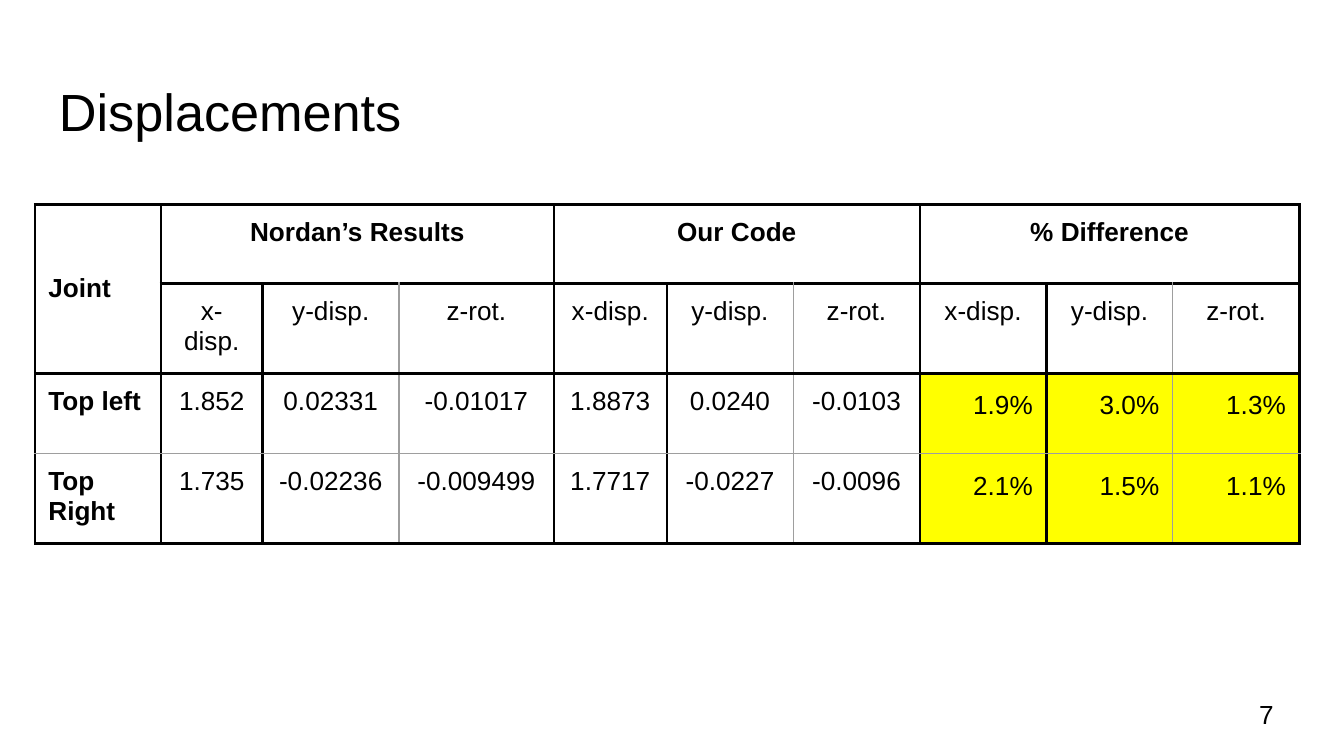
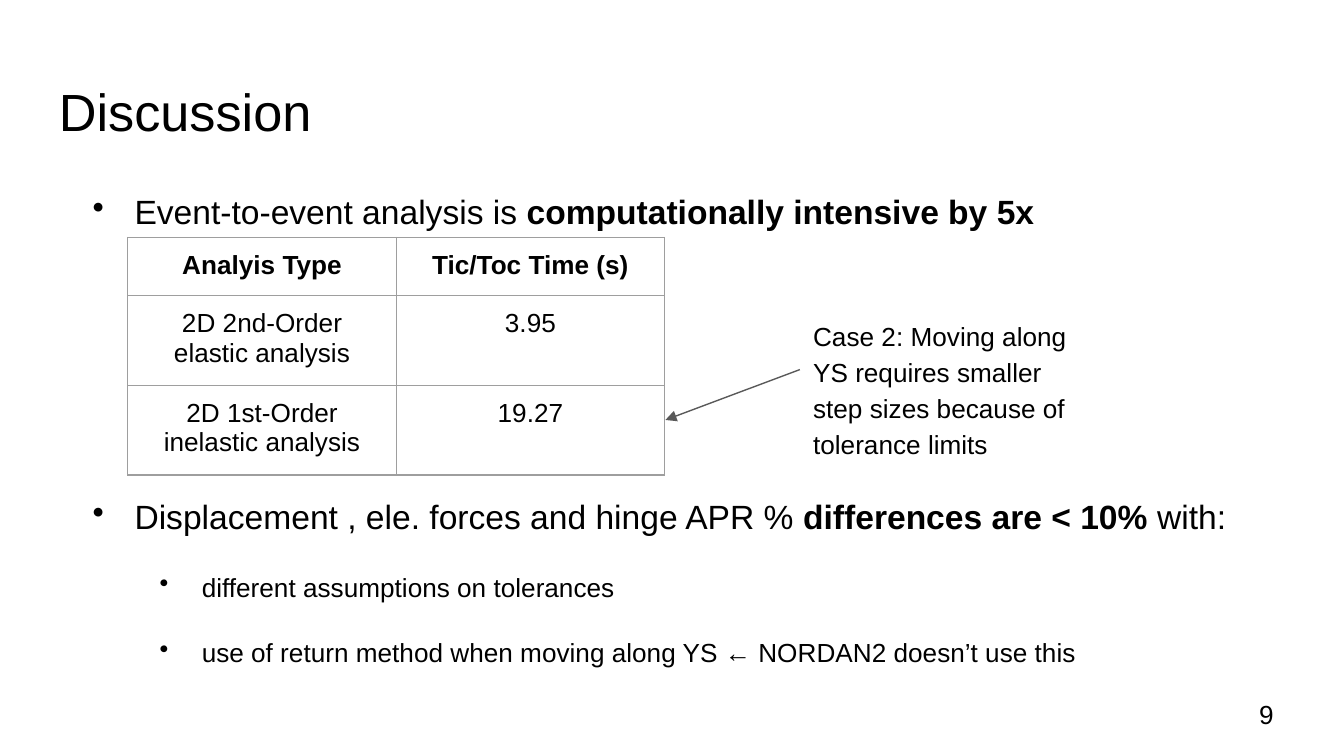
from lxml.etree import SubElement
from pptx import Presentation
from pptx.dml.color import RGBColor
from pptx.enum.shapes import MSO_CONNECTOR
from pptx.enum.text import MSO_ANCHOR, PP_ALIGN
from pptx.oxml import parse_xml
from pptx.oxml.ns import nsdecls, qn
from pptx.util import Pt

BLACK = RGBColor(0x00, 0x00, 0x00)
WHITE = RGBColor(0xFF, 0xFF, 0xFF)
GRID = RGBColor(0x9E, 0x9E, 0x9E)
ARROW = RGBColor(0x59, 0x59, 0x59)
YELLOW = RGBColor(0xFF, 0xFF, 0x00)
FONT = "Arial"
INSET = Pt(7.2)
SPACING = 1.15
WIDTH, HEIGHT = 720, 405
TITLE_BOX = (24.5, 35, 671, 45)
BODY_BOX = (24.5, 92, 671, 297.5)
NUMBER_BOX = (667.5, 367, 43, 31)
HEAVY, LIGHT = (BLACK, 1.5), (GRID, 0.75)


def set_font(p, size, bold=False):
    p.font.name = FONT
    p.font.size = Pt(size)
    p.font.bold = bold
    p.font.color.rgb = BLACK


def add_text(s, box, text, size, anchor=MSO_ANCHOR.TOP):
    tf = s.shapes.add_textbox(*map(Pt, box)).text_frame
    tf.word_wrap = True
    tf.vertical_anchor = anchor
    tf.margin_left = tf.margin_right = tf.margin_top = tf.margin_bottom = INSET
    p = tf.paragraphs[0]
    p.text = text
    set_font(p, size)
    return tf


def add_base_slide(prs, title, number):
    s = prs.slides.add_slide(prs.slide_layouts[6])
    s.background.fill.solid()
    s.background.fill.fore_color.rgb = WHITE
    add_text(s, TITLE_BOX, title, 28)
    add_text(s, NUMBER_BOX, number, 14, MSO_ANCHOR.MIDDLE)
    return s


def set_borders(cell, left, right, top, bottom):
    """Draw the four sides, each given as (colour, width)."""
    tc_pr = cell._tc.get_or_add_tcPr()
    for i, (side, (color, width)) in enumerate(zip("LRTB", (left, right, top, bottom))):
        tc_pr.insert(i, parse_xml(
            f'<a:ln{side} {nsdecls("a")} w="{Pt(width)}"><a:solidFill>'
            f'<a:srgbClr val="{color}"/></a:solidFill></a:ln{side}>'))


def add_grid(s, x, y, widths, heights, rows):
    table = s.shapes.add_table(len(heights), len(widths), Pt(x), Pt(y),
                               Pt(sum(widths)), Pt(sum(heights))).table
    table.first_row = table.horz_banding = False
    for column, width in zip(table.columns, widths):
        column.width = Pt(width)
    for row, height, texts in zip(table.rows, heights, rows):
        row.height = Pt(height)
        for cell, text in zip(row.cells, texts):
            cell.margin_left = cell.margin_right = INSET
            cell.margin_top = cell.margin_bottom = INSET
            cell.fill.background()
            p = cell.text_frame.paragraphs[0]
            p.text = text
            p.alignment = PP_ALIGN.CENTER
            set_font(p, 14)
    return table


def add_displacement_table(s, x, y):
    groups = ["Nordan’s Results", "Our Code", "% Difference"]
    rows = [
        ["Joint"] + [text for group in groups for text in (group, "", "")],
        [""] + ["x-disp.", "y-disp.", "z-rot."] * 3,
        ["Top left", "1.852", "0.02331", "-0.01017", "1.8873", "0.0240", "-0.0103",
         "1.9%", "3.0%", "1.3%"],
        ["Top Right", "1.735", "-0.02236", "-0.009499", "1.7717", "-0.0227", "-0.0096",
         "2.1%", "1.5%", "1.1%"],
    ]
    widths = [67.5, 54.5, 73, 83, 60.5] + [67.8] * 5
    table = add_grid(s, x, y, widths, [42.5, 46, 43, 46], rows)

    def vertical(c):
        return LIGHT if c in (3, 6, 9) else HEAVY

    def horizontal(r, c):
        return LIGHT if r == 3 or (r == 2 and c == 0) else HEAVY

    for r in range(len(rows)):
        for c in range(len(widths)):
            cell = table.cell(r, c)
            p = cell.text_frame.paragraphs[0]
            p.font.bold = r == 0 or c == 0
            if c == 0:
                p.alignment = PP_ALIGN.LEFT
            if r >= 2 and c >= 7:
                p.alignment = PP_ALIGN.RIGHT
                p.line_spacing = SPACING
                cell.fill.solid()
                cell.fill.fore_color.rgb = YELLOW
            set_borders(cell, vertical(c), vertical(c + 1),
                        horizontal(r, c), horizontal(r + 1, c))

    table.cell(0, 0).merge(table.cell(1, 0))
    table.cell(0, 0).vertical_anchor = MSO_ANCHOR.MIDDLE
    for c in (1, 4, 7):
        table.cell(0, c).merge(table.cell(0, c + 2))


def add_timing_table(s, x, y):
    rows = [
        ["Analyis Type", "Tic/Toc Time (s)"],
        ["2D 2nd-Order elastic analysis", "3.95"],
        ["2D 1st-Order inelastic analysis", "19.27"],
    ]
    table = add_grid(s, x, y, [143.8] * 2, [30, 46, 46], rows)
    for cell in table.iter_cells():
        set_borders(cell, *[LIGHT] * 4)
    for cell in table.rows[0].cells:
        cell.text_frame.paragraphs[0].font.bold = True


def add_bullets(s, box, gap):
    """Fill the body; gap is the room left for the table after the first point."""
    points = [
        (0, 0, [("Event-to-event analysis is", False),
                (" computationally intensive by 5x", True)]),
        (0, gap, [("Displacement , ele. forces and hinge APR % ", False),
                  ("differences are < 10% ", True), ("with:", False)]),
        (1, 0, [("different assumptions on tolerances", False)]),
        (1, 0, [("use of return method when moving along YS ← NORDAN2 doesn’t use this",
                 False)]),
    ]
    tf = add_text(s, box, "", 18)
    for i, (level, before, runs) in enumerate(points):
        p = tf.add_paragraph() if i else tf.paragraphs[0]
        p.level = level
        p.line_spacing = SPACING
        p.space_before, p.space_after = Pt(before), Pt(16)
        set_font(p, 14 if level else 18)
        for text, bold in runs:
            r = p.add_run()
            r.text = text
            r.font.bold = bold
        p_pr = p._p.get_or_add_pPr()
        p_pr.set("marL", str(Pt(40.5 + 36 * level)))
        p_pr.set("indent", str(-Pt(22.5)))
        bullet = parse_xml(f'<a:buChar {nsdecls("a")} char="•"/>')
        p_pr.find(qn("a:defRPr")).addprevious(bullet)


def add_callout(s, x, y):
    """Add the note and the arrow running from its left edge to the table."""
    tf = add_text(s, (x, y, 156.5, 71),
                  "Case 2: Moving along YS requires smaller step sizes "
                  "because of tolerance limits", 14)
    tf.paragraphs[0].line_spacing = SPACING
    arrow = s.shapes.add_connector(MSO_CONNECTOR.STRAIGHT, Pt(x), Pt(y + 36),
                                   Pt(x - 72), Pt(y + 63))
    arrow.line.color.rgb = ARROW
    arrow.line.width = Pt(0.75)
    SubElement(arrow.line._get_or_add_ln(), qn("a:tailEnd"), type="triangle",
               w="med", len="med")
    SubElement(arrow._element.spPr, qn("a:effectLst"))


def main():
    prs = Presentation()
    prs.slide_width, prs.slide_height = Pt(WIDTH), Pt(HEIGHT)

    s = add_base_slide(prs, "Displacements", "7")
    add_displacement_table(s, 18.75, 109.5)

    s = add_base_slide(prs, "Discussion", "9")
    add_bullets(s, BODY_BOX, 122.5)
    add_timing_table(s, 68.5, 127.2)
    add_callout(s, 428.5, 162)

    prs.save("out.pptx")


if __name__ == "__main__":
    main()
